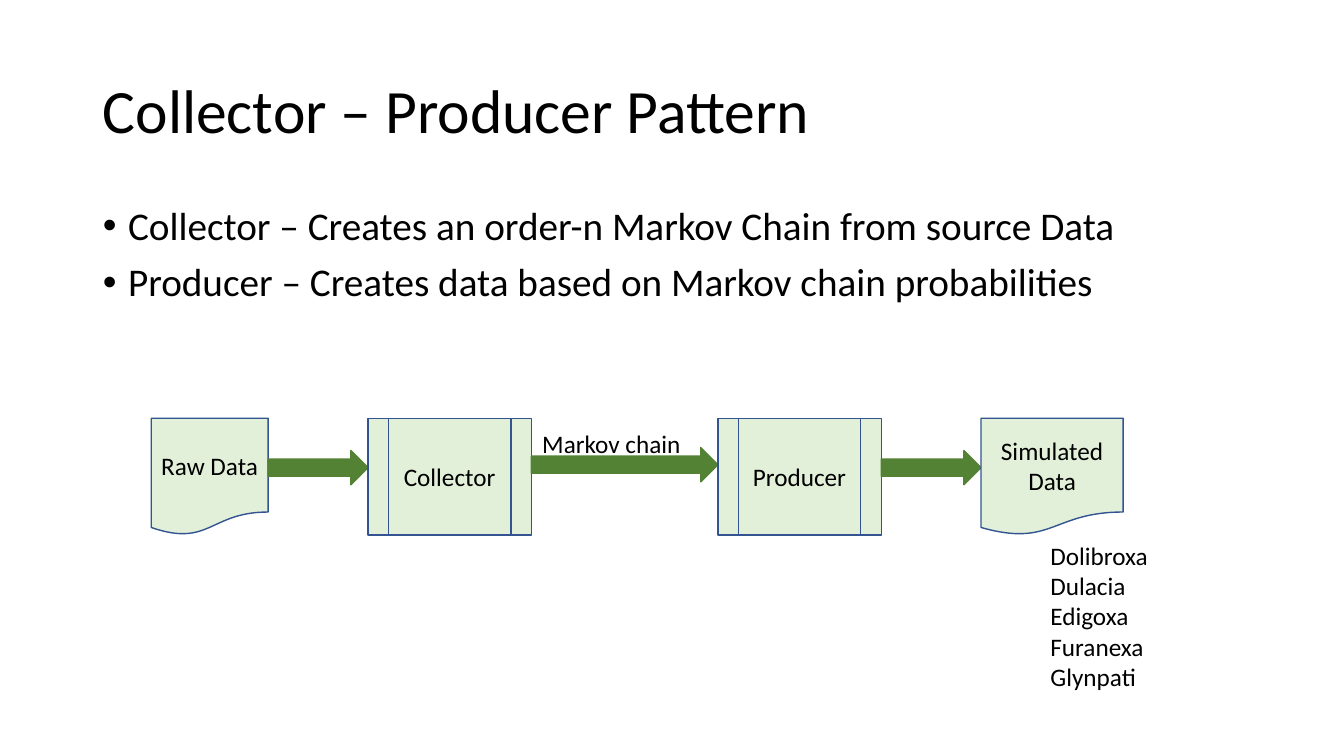
"""Build the Collector – Producer pattern slide."""
import pptx
import pptx.dml.color
import pptx.enum.shapes
import pptx.enum.text
import pptx.util

Inches, Pt = pptx.util.Inches, pptx.util.Pt
SHAPE = pptx.enum.shapes.MSO_SHAPE
ALIGN = pptx.enum.text.PP_ALIGN
ANCHOR = pptx.enum.text.MSO_ANCHOR
COLORS = {"text": "000000", "node": "E2F0D9", "outline": "325491", "arrow": "548235"}
WIDTH, HEIGHT = 13.33, 7.5
MARGIN = 0.92
ROW_TOP, ROW_HEIGHT = 4.15, 1.16
ARROW_HEIGHT = 0.34


def write(shape, lines, size, align=ALIGN.LEFT, anchor=ANCHOR.TOP):
    frame = shape.text_frame
    frame.word_wrap = True
    frame.auto_size = pptx.enum.text.MSO_AUTO_SIZE.NONE
    frame.vertical_anchor = anchor
    frame.text = "\n".join(lines)
    for para in frame.paragraphs:
        para.alignment = align
        para.font.name = "Calibri"
        para.font.size = Pt(size)
        para.font.color.rgb = pptx.dml.color.RGBColor.from_string(COLORS["text"])
    return frame


def add_block(kind, left, top, width, height, fill, line):
    block = slide.shapes.add_shape(kind, Inches(left), Inches(top), Inches(width), Inches(height))
    block.shadow.inherit = False
    block.fill.solid()
    block.fill.fore_color.rgb = pptx.dml.color.RGBColor.from_string(COLORS[fill])
    block.line.color.rgb = pptx.dml.color.RGBColor.from_string(COLORS[line])
    block.line.width = Pt(1)
    return block


deck = pptx.Presentation()
deck.slide_width, deck.slide_height = Inches(WIDTH), Inches(HEIGHT)
slide = deck.slides.add_slide(deck.slide_layouts[1])
title, body = slide.placeholders

for holder, top, height in [(title, 0.4, 1.45), (body, 2, 1.38)]:
    holder.left, holder.top = Inches(MARGIN), Inches(top)
    holder.width, holder.height = Inches(WIDTH - 2 * MARGIN), Inches(height)

title_frame = write(title, ["Collector – Producer Pattern"], 44, anchor=ANCHOR.MIDDLE)
title_frame.paragraphs[0].line_spacing = 0.9

bullets = [
    "Collector – Creates an order-n Markov Chain from source Data",
    "Producer – Creates data based on Markov chain probabilities",
]
for para in write(body, bullets, 28).paragraphs:
    para.line_spacing = 0.9
    para.space_before = Pt(10)
    properties = para._p.get_or_add_pPr()
    properties.set("marL", str(Inches(0.25)))
    properties.set("indent", str(-Inches(0.25)))

DOCUMENT, PROCESS = SHAPE.FLOWCHART_DOCUMENT, SHAPE.FLOWCHART_PREDEFINED_PROCESS
steps = [
    ("Raw Data", DOCUMENT, 1.16, 0.99, 4.47),
    ("Collector", PROCESS, 1.62, 1.85, 4.44),
    ("Producer", PROCESS, 1.62, 0.99, 4.47),
    ("Simulated Data", DOCUMENT, 1.41, 0, 0),
]
left = 1.5
for name, kind, width, gap, arrow_top in steps:
    node = add_block(kind, left, ROW_TOP, width, ROW_HEIGHT, "node", "outline")
    frame = write(node, [name], 18, ALIGN.CENTER, ANCHOR.MIDDLE)
    frame.margin_left = frame.margin_right = Inches(0.08)
    left += width
    if gap:
        add_block(SHAPE.RIGHT_ARROW, left, arrow_top, gap, ARROW_HEIGHT, "arrow", "arrow")
    left += gap

samples = ["Dolibroxa", "Dulacia", "Edigoxa", "Furanexa", "Glynpati"]
labels = [
    (["Markov chain"], 5.28, 4.2, 1.96, 0.4),
    (samples, 10.32, ROW_TOP + ROW_HEIGHT, 1.3, 1.62),
]
for lines, *place in labels:
    box = slide.shapes.add_textbox(*map(Inches, place))
    write(box, lines, 18)

deck.save("out.pptx")
